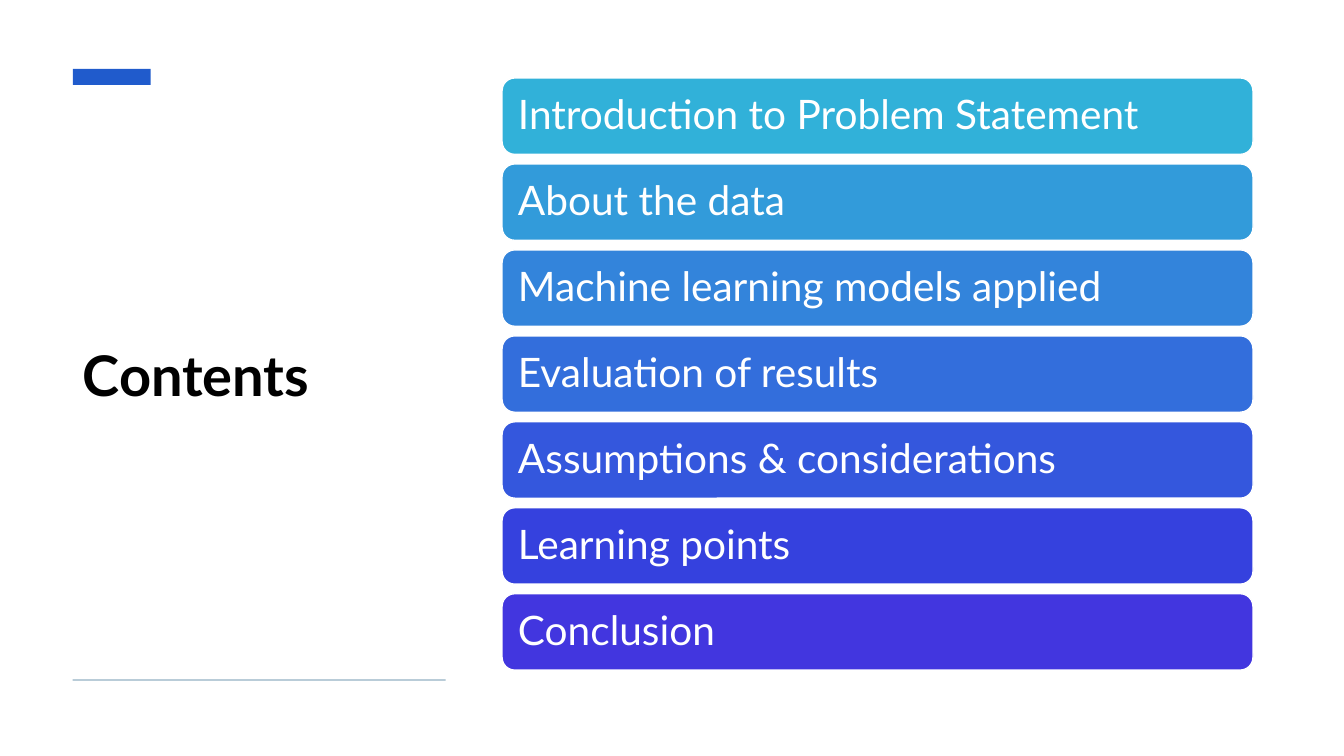
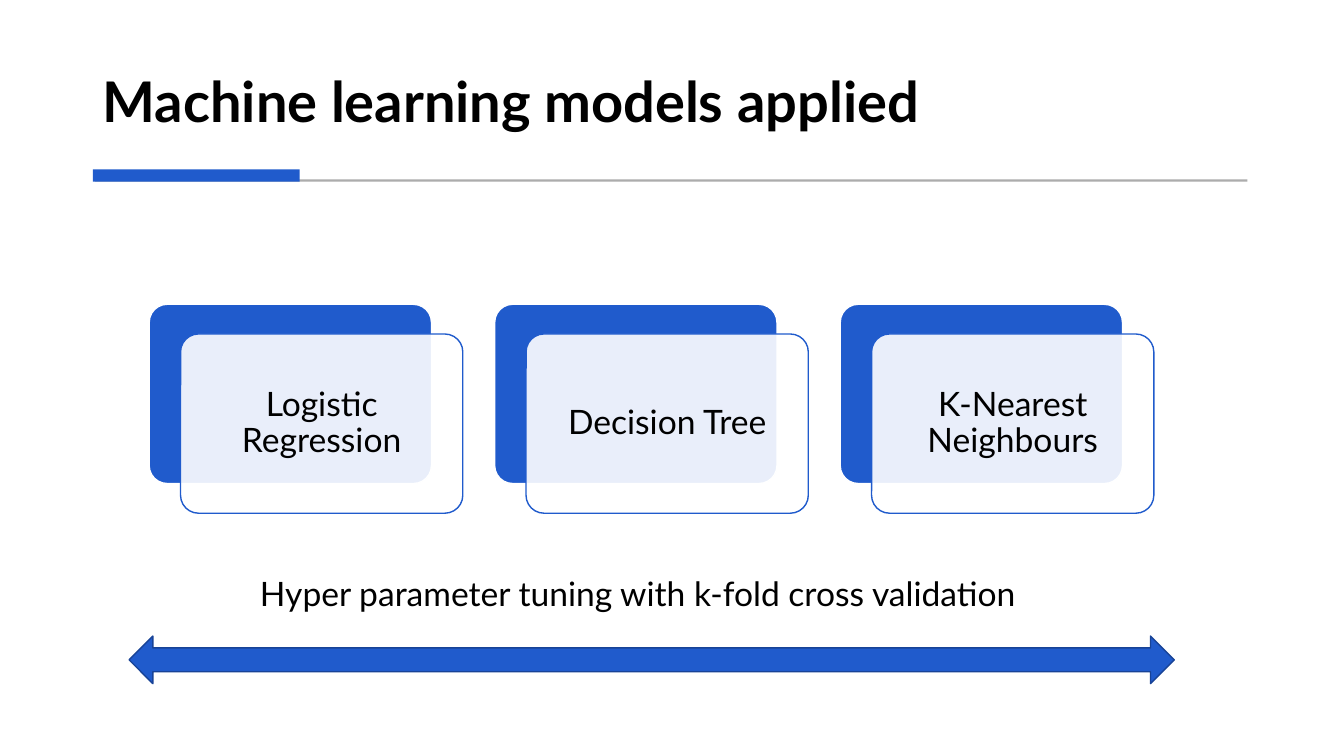
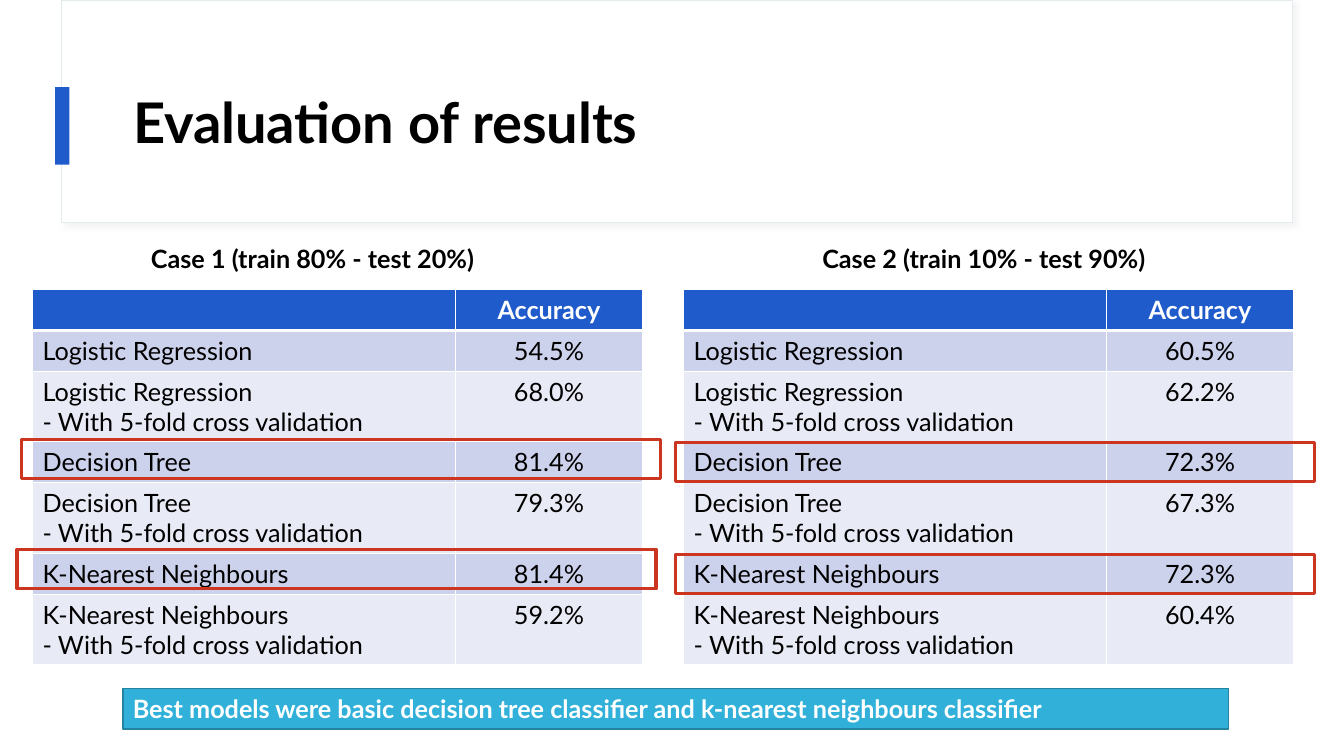
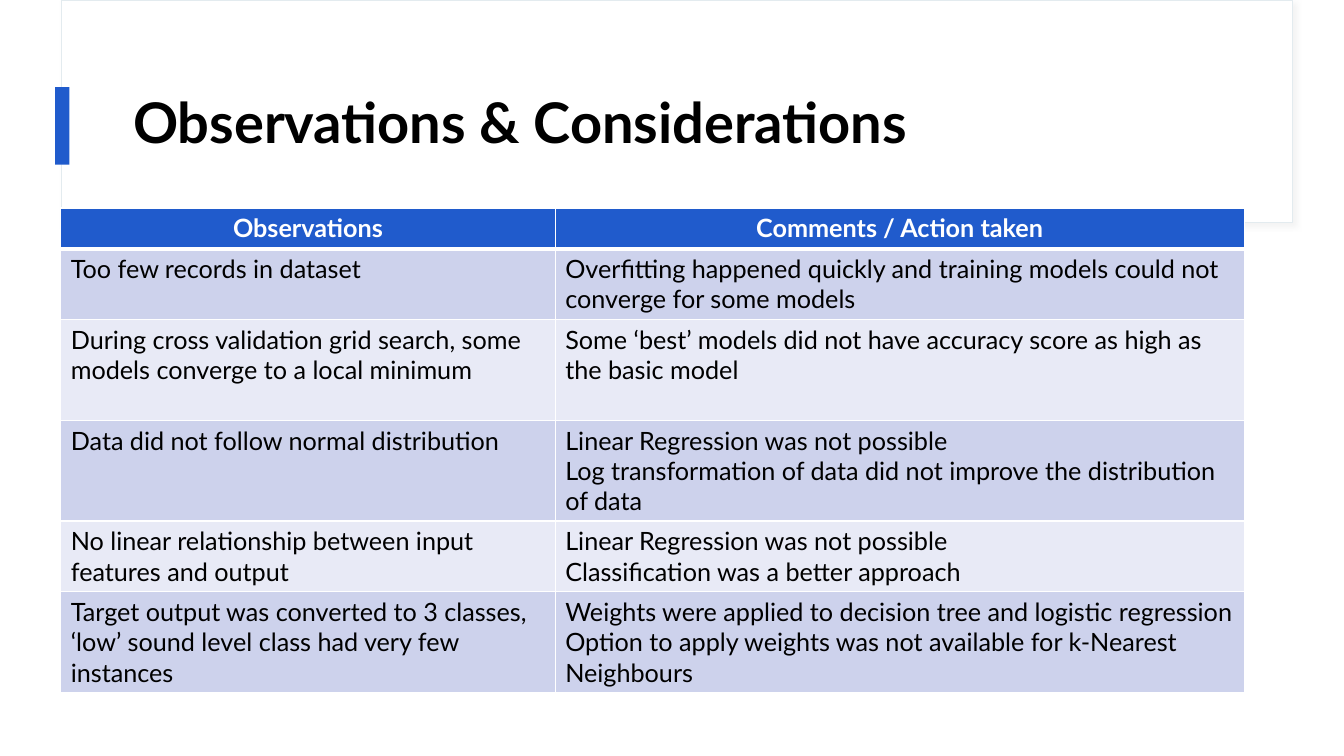
from dataclasses import dataclass

from lxml import etree
from pptx import Presentation
from pptx.dml.color import RGBColor
from pptx.enum import shapes, text
from pptx.oxml import ns
from pptx.util import Pt


@dataclass(frozen=True)
class Theme:
    font: str = "Lato"
    blue: str = "205BCC"
    dark_blue: str = "184397"
    cyan: str = "31B1D9"
    dark_cyan: str = "2483A1"
    red: str = "CC3620"
    white: str = "FFFFFF"
    black: str = "000000"
    rule: str = "ACACAC"
    pale_rule: str = "B9CCD8"
    frame: str = "E3EBEF"
    shadow: str = "D9D9D9"
    bands: tuple = ("CDD2EC", "E8EAF6")
    agenda: tuple = ("31B1D9", "329BDA", "3384DB", "336EDC", "3457DD", "3541DE", "4236DF")
    title_size: int = 40
    agenda_size: int = 29
    card_size: int = 24
    body_size: int = 18


theme = Theme()
KIND = shapes.MSO_SHAPE
ALIGN = text.PP_ALIGN
ANCHOR = text.MSO_ANCHOR


def add_box(slide, kind, left, top, width, height, fill=None, line=None, line_width=1):
    shape = slide.shapes.add_shape(kind, Pt(left), Pt(top), Pt(width), Pt(height))
    shape.shadow.inherit = False
    for paint, color in ((shape.fill, fill), (shape.line.fill, line)):
        if color:
            paint.solid()
            paint.fore_color.rgb = RGBColor.from_string(color)
        else:
            paint.background()
    if line:
        shape.line.width = Pt(line_width)
    return shape


def write(frame, content, size, color=theme.black, bold=False, align=ALIGN.LEFT,
          anchor=ANCHOR.TOP, spacing=1.0, inset=None):
    """Fill a text frame with one paragraph per line of content."""
    frame.word_wrap = True
    frame.vertical_anchor = anchor
    if inset is not None:
        frame.margin_left = frame.margin_right = Pt(inset)
        frame.margin_top = frame.margin_bottom = Pt(inset)
    for number, words in enumerate(content.split("\n")):
        paragraph = frame.add_paragraph() if number else frame.paragraphs[0]
        paragraph.alignment = align
        paragraph.line_spacing = spacing
        run = paragraph.add_run()
        run.text = words
        run.font.name = theme.font
        run.font.size = Pt(size)
        run.font.bold = bold
        run.font.color.rgb = RGBColor.from_string(color)


presentation = Presentation()
presentation.slide_width = Pt(960)
presentation.slide_height = Pt(540)

# Slides, title blocks and the frame behind the titles of table slides
titles = [
    ("Contents", (52, 75.6, 266.4, 465 - 75.6), ANCHOR.MIDDLE, False),
    ("Machine learning models applied", (66.4, 20, 827, 80), ANCHOR.BOTTOM, False),
    ("Evaluation of results", (88, 43, 800, 93), ANCHOR.MIDDLE, True),
    ("Observations & Considerations", (88, 43, 800, 93), ANCHOR.MIDDLE, True),
]
slides = []
for title, place, anchor, framed in titles:
    slide = presentation.slides.add_slide(presentation.slide_layouts[6])
    slides.append(slide)
    if framed:
        frame = add_box(slide, KIND.RECTANGLE, 44, 0, 879, 159, theme.white, theme.frame, 0.5)
        effects = frame._element.spPr.find(ns.qn("a:effectLst"))
        shadow = etree.SubElement(effects, ns.qn("a:outerShdw"), blurRad=str(Pt(4)),
                                  dist=str(Pt(3)), dir="2700000", algn="tl", rotWithShape="0")
        tint = etree.SubElement(shadow, ns.qn("a:srgbClr"), val=theme.shadow)
        etree.SubElement(tint, ns.qn("a:alpha"), val="30000")
        add_box(slide, KIND.RECTANGLE, 39.4, 62.2, 10.2, 55.4, theme.blue)
    title_box = slide.shapes.add_textbox(*map(Pt, place))
    write(title_box.text_frame, title, theme.title_size, bold=True, anchor=anchor, spacing=0.9)
contents, models, results, observations = slides

# Contents
add_box(contents, KIND.RECTANGLE, 52, 49.2, 55.6, 11.5, theme.blue)
add_box(contents, KIND.RECTANGLE, 52, 485, 266.4, 1.4, theme.pale_rule)
topics = ["Introduction to Problem Statement", "About the data", "Machine learning models applied",
          "Evaluation of results", "Assumptions & considerations", "Learning points", "Conclusion"]
for row, (topic, color) in enumerate(zip(topics, theme.agenda)):
    bar = add_box(contents, KIND.ROUNDED_RECTANGLE, 358.6, 55.7 + row * 61.4, 536.4, 54.6,
                  color, theme.white)
    write(bar.text_frame, topic, theme.agenda_size, theme.white,
          anchor=ANCHOR.MIDDLE, spacing=0.9, inset=8.7)

# Machine learning models applied
add_box(models, KIND.RECTANGLE, 68, 128.2, 823, 1.5, theme.rule)
add_box(models, KIND.RECTANGLE, 66.4, 121, 147.6, 8.7, theme.blue)
for column, model in enumerate(["Logistic Regression", "Decision Tree", "K-Nearest Neighbours"]):
    left = 106.6 + column * 246.8
    back = add_box(models, KIND.ROUNDED_RECTANGLE, left, 217.4, 201.6, 128, theme.blue, theme.white)
    card = add_box(models, KIND.ROUNDED_RECTANGLE, left + 22.4, 238.6, 201.6, 128,
                   theme.white, theme.blue)
    back.adjustments[0] = card.adjustments[0] = 0.1
    tint = card._element.spPr.find(ns.qn("a:solidFill"))[0]
    etree.SubElement(tint, ns.qn("a:alpha"), val="90000")
    write(card.text_frame, model, theme.card_size, align=ALIGN.CENTER,
          anchor=ANCHOR.MIDDLE, spacing=0.9, inset=7.2)
add_box(models, KIND.LEFT_RIGHT_ARROW, 92.2, 454.3, 746.6, 34, theme.blue, theme.dark_blue)
tuning = models.shapes.add_textbox(Pt(178.6), Pt(406), Pt(624), Pt(36))
write(tuning.text_frame, "Hyper parameter tuning with k-fold cross validation", theme.card_size)

# Tables of both table slides
one_line, two_lines, three_lines = 29.2, 50.4, 72
accuracies = [
    ("54.5%", "68.0%", "81.4%", "79.3%", "81.4%", "59.2%"),
    ("60.5%", "62.2%", "72.3%", "67.3%", "72.3%", "60.4%"),
]
tested = [model + suffix
          for model in ("Logistic Regression", "Decision Tree", "K-Nearest Neighbours")
          for suffix in ("", "\n- With 5-fold cross validation")]
result_heights = [one_line] + [one_line, two_lines] * 3
remarks = [
    ("Observations", "Comments / Action taken"),
    ("Too few records in dataset",
     "Overfitting happened quickly and training models could not converge for some models"),
    ("During cross validation grid search, some models converge to a local minimum",
     "Some ‘best’ models did not have accuracy score as high as the basic model"),
    ("Data did not follow normal distribution",
     "Linear Regression was not possible\n"
     "Log transformation of data did not improve the distribution of data"),
    ("No linear relationship between input features and output",
     "Linear Regression was not possible\nClassification was a better approach"),
    ("Target output was converted to 3 classes, ‘low’ sound level class had very few instances",
     "Weights were applied to decision tree and logistic regression\n"
     "Option to apply weights was not available for k-Nearest Neighbours"),
]
remark_heights = [one_line, two_lines, three_lines, three_lines, two_lines, three_lines]
tables = [
    (results, left, 206.8, (302.4, 133.2), result_heights,
     [("", "Accuracy"), *zip(tested, values)], ALIGN.CENTER)
    for left, values in zip((23.2, 488.2), accuracies)
]
tables.append((observations, 43.4, 148.5, (353.2, 492.2), remark_heights, remarks, ALIGN.LEFT))

for slide, left, top, widths, heights, rows, last_align in tables:
    table = slide.shapes.add_table(len(rows), len(widths), Pt(left), Pt(top),
                                   Pt(sum(widths)), Pt(sum(heights))).table
    for column, width in zip(table.columns, widths):
        column.width = Pt(width)
    for row, (values, height) in enumerate(zip(rows, heights)):
        table.rows[row].height = Pt(height)
        header = row == 0
        for column, value in enumerate(values):
            cell = table.cell(row, column)
            cell.fill.solid()
            cell.fill.fore_color.rgb = RGBColor.from_string(
                theme.blue if header else theme.bands[(row - 1) % 2])
            for position, side in enumerate(("lnL", "lnR", "lnT", "lnB")):
                thick = (header and side == "lnB") or (row == 1 and side == "lnT")
                border = etree.Element(ns.qn("a:" + side), w=str(Pt(3 if thick else 1)))
                paint = etree.SubElement(border, ns.qn("a:solidFill"))
                etree.SubElement(paint, ns.qn("a:srgbClr"), val=theme.white)
                cell._tc.tcPr.insert(position, border)
            if value:
                align = ALIGN.CENTER if header else (ALIGN.LEFT, last_align)[column]
                write(cell.text_frame, value, theme.body_size,
                      theme.white if header else theme.black, header, align)

# Evaluation of results: captions, highlights and conclusion
for left, caption in ((100.8, "Case 1 (train 80% - test 20%)"),
                      (580.3, "Case 2 (train 10% - test 90%)")):
    label = results.shapes.add_textbox(Pt(left), Pt(170.6), Pt(308), Pt(29))
    write(label.text_frame, caption, theme.body_size, bold=True)
for left, top in ((15.1, 313.9), (12.2, 392.4), (482.4, 316.1), (482.4, 396)):
    add_box(results, KIND.RECTANGLE, left, top, 456.5, 28.1, line=theme.red, line_width=2.25)
conclusion = add_box(results, KIND.RECTANGLE, 87.8, 491.8, 789.8, 29, theme.cyan, theme.dark_cyan)
write(conclusion.text_frame,
      "Best models were basic decision tree classifier and k-nearest neighbours classifier",
      theme.body_size, theme.white, bold=True)

presentation.save("out.pptx")
